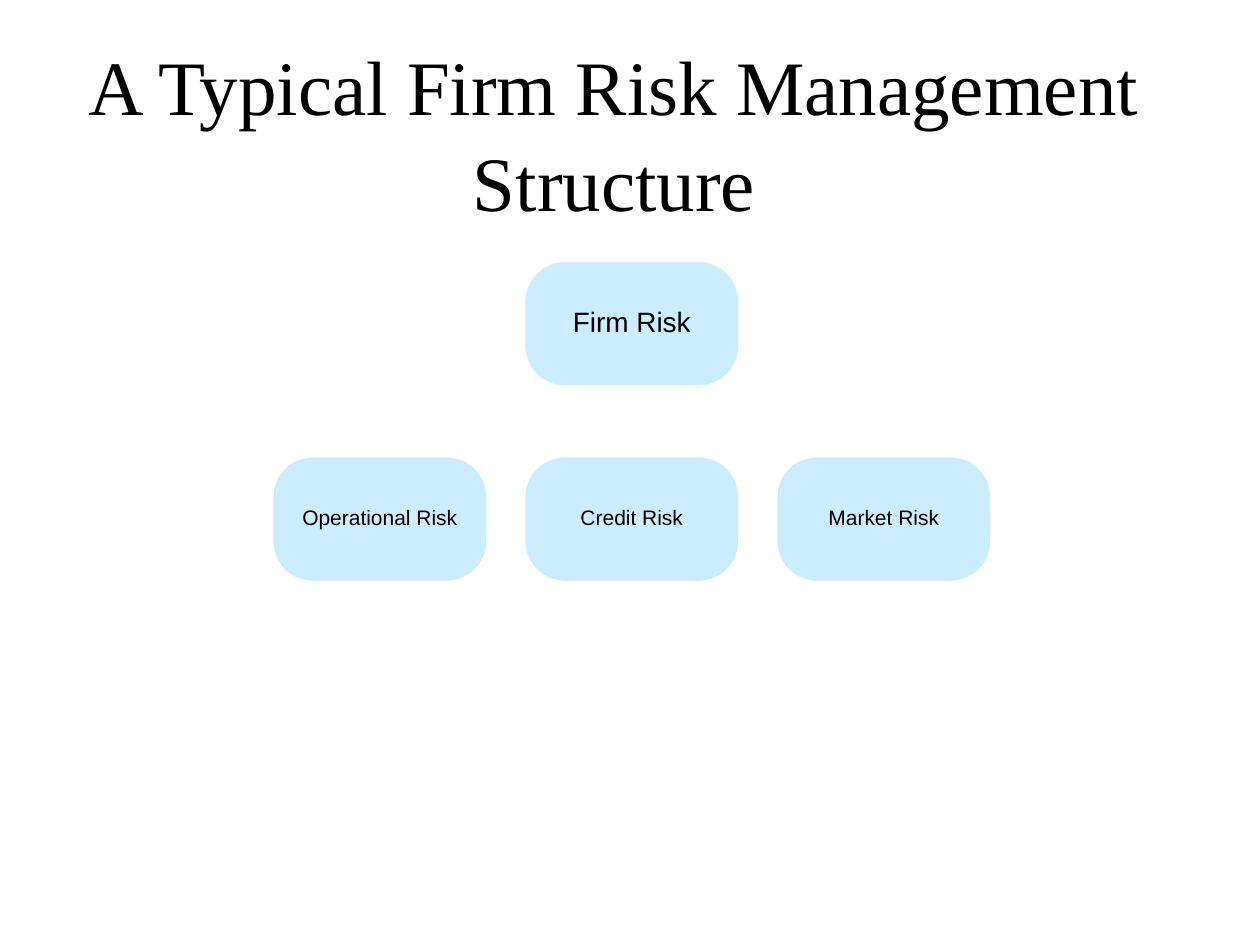
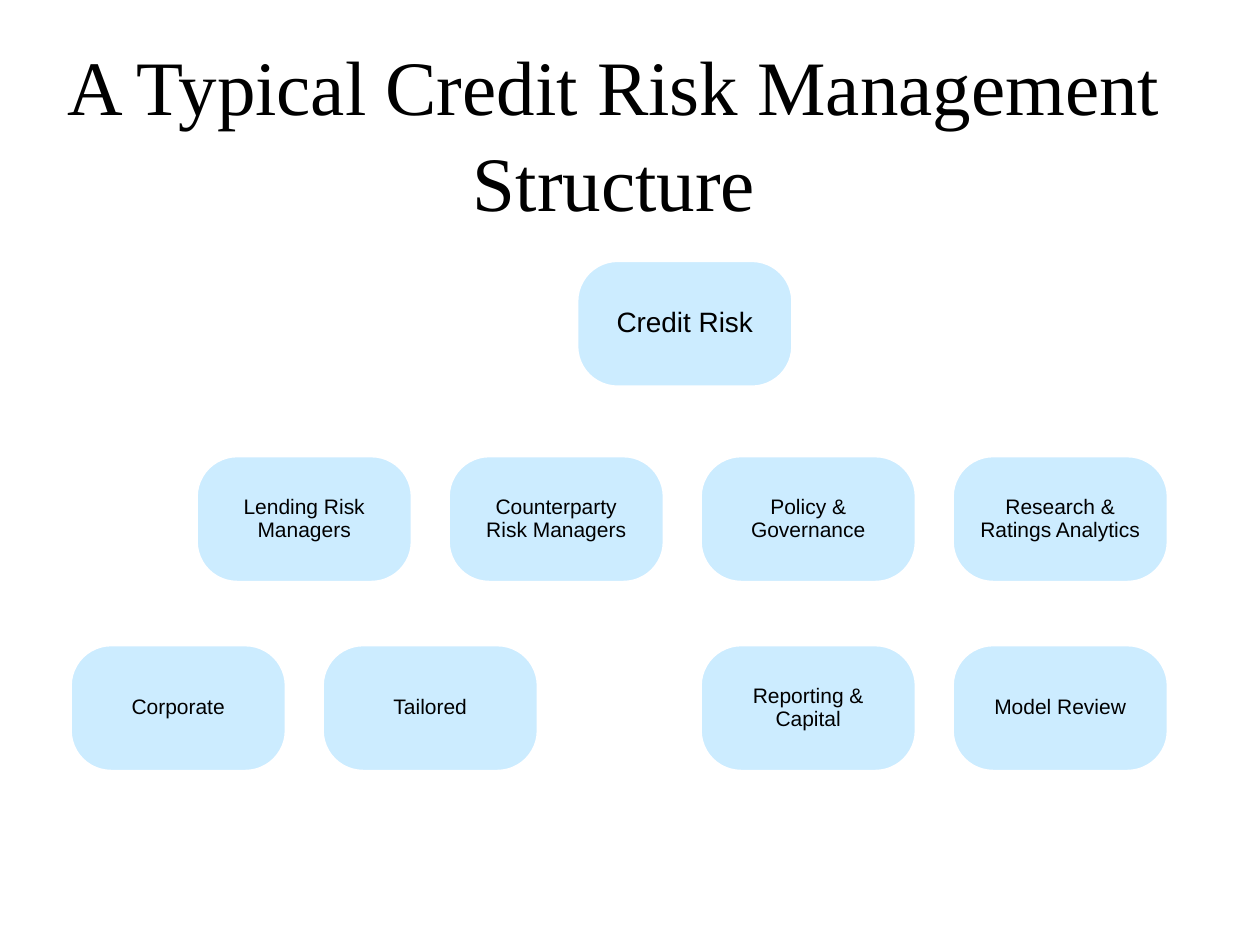
import pptx
import pptx.util
import pptx.dml.color
import pptx.enum.shapes
import pptx.enum.text
import lxml.etree

Inches = pptx.util.Inches
Pt = pptx.util.Pt

COLORS = {"text": "000000", "box": "CCECFF", "line": "FFFFFF"}
TITLE_FONT = "Times New Roman"
BOX_FONT = "Arial"
TITLE_ONLY = 5
GRID_LEFT = 0.56
COLUMN_PITCH = 2
ROW_TOPS = [2.07, 3.62, 5.12]
BOX_WIDTH = 1.71
BOX_HEIGHT = 1
ROOT_SIZE = 16
CHILD_SIZE = 12


def color(name):
    return pptx.dml.color.RGBColor.from_string(COLORS[name])


def format_text(frame, font_name, size, spacing):
    frame.word_wrap = True
    frame.auto_size = pptx.enum.text.MSO_AUTO_SIZE.NONE
    frame.vertical_anchor = pptx.enum.text.MSO_ANCHOR.MIDDLE
    for para in frame.paragraphs:
        para.alignment = pptx.enum.text.PP_ALIGN.CENTER
        para.line_spacing = spacing
        for span in para.runs:
            span.font.name = font_name
            span.font.size = Pt(size)
            span.font.color.rgb = color("text")


def add_page(deck, title):
    page = deck.slides.add_slide(deck.slide_layouts[TITLE_ONLY])
    box = page.shapes.title
    box.left, box.top = Inches(0.25), Inches(0.75)
    box.width, box.height = Inches(9.25), Inches(0.77)
    box.text_frame.text = title
    box.text_frame.margin_bottom = Inches(0.24)
    format_text(box.text_frame, TITLE_FONT, 44, 1.04)
    return page


def add_box(page, label, column, row):
    box = page.shapes.add_shape(
        pptx.enum.shapes.MSO_SHAPE.ROUNDED_RECTANGLE,
        Inches(GRID_LEFT + column * COLUMN_PITCH), Inches(ROW_TOPS[row]),
        Inches(BOX_WIDTH), Inches(BOX_HEIGHT))
    box.adjustments[0] = 0.322
    box.shadow.inherit = False
    box.fill.solid()
    box.fill.fore_color.rgb = color("box")
    box.line.color.rgb = color("line")
    box.line.width = Pt(1.5)
    frame = box.text_frame
    frame.text = label
    frame.margin_left = frame.margin_right = Inches(0.11)
    format_text(frame, BOX_FONT, CHILD_SIZE if row else ROOT_SIZE, 0.9)
    return box


def add_line(page, x1, y1, x2, y2):
    line = page.shapes.add_connector(
        pptx.enum.shapes.MSO_CONNECTOR.STRAIGHT, x1, y1, x2, y2)
    line.line.color.rgb = color("line")
    line.line.width = Pt(1.5)
    lxml.etree.SubElement(line._element.spPr, pptx.oxml.ns.qn("a:effectLst"))


def center(box):
    return box.left + box.width // 2


def link(page, parent, children):
    bottom = parent.top + parent.height
    if len(children) == 1:
        add_line(page, center(parent), bottom, center(parent), children[0].top)
        return
    bus = (bottom + children[0].top) // 2
    add_line(page, center(parent), bottom, center(parent), bus)
    add_line(page, center(children[0]), bus, center(children[-1]), bus)
    for child in children:
        add_line(page, center(child), bus, center(child), child.top)


def add_row(page, parent, labels, first_column, row):
    boxes = [add_box(page, label, first_column + index, row)
             for index, label in enumerate(labels)]
    link(page, parent, boxes)
    return boxes


def build_firm_page(deck):
    page = add_page(deck, "A Typical Firm Risk Management Structure")
    firm = add_box(page, "Firm Risk", 1.8, 0)
    add_row(page, firm, ["Operational Risk", "Credit Risk", "Market Risk"], 0.8, 1)


def build_credit_page(deck):
    page = add_page(deck, "A Typical Credit Risk Management Structure")
    credit = add_box(page, "Credit Risk", 2.01, 0)
    lending, _, policy, research = add_row(
        page, credit,
        ["Lending Risk Managers", "Counterparty Risk Managers",
         "Policy & Governance", "Research & Ratings Analytics"], 0.5, 1)
    add_row(page, lending, ["Corporate", "Tailored"], 0, 2)
    add_row(page, policy, ["Reporting & Capital"], 2.5, 2)
    add_row(page, research, ["Model Review"], 3.5, 2)


def main():
    deck = pptx.Presentation()
    deck.slide_width = Inches(10)
    deck.slide_height = Inches(7.5)
    build_firm_page(deck)
    build_credit_page(deck)
    deck.save("out.pptx")


if __name__ == "__main__":
    main()
